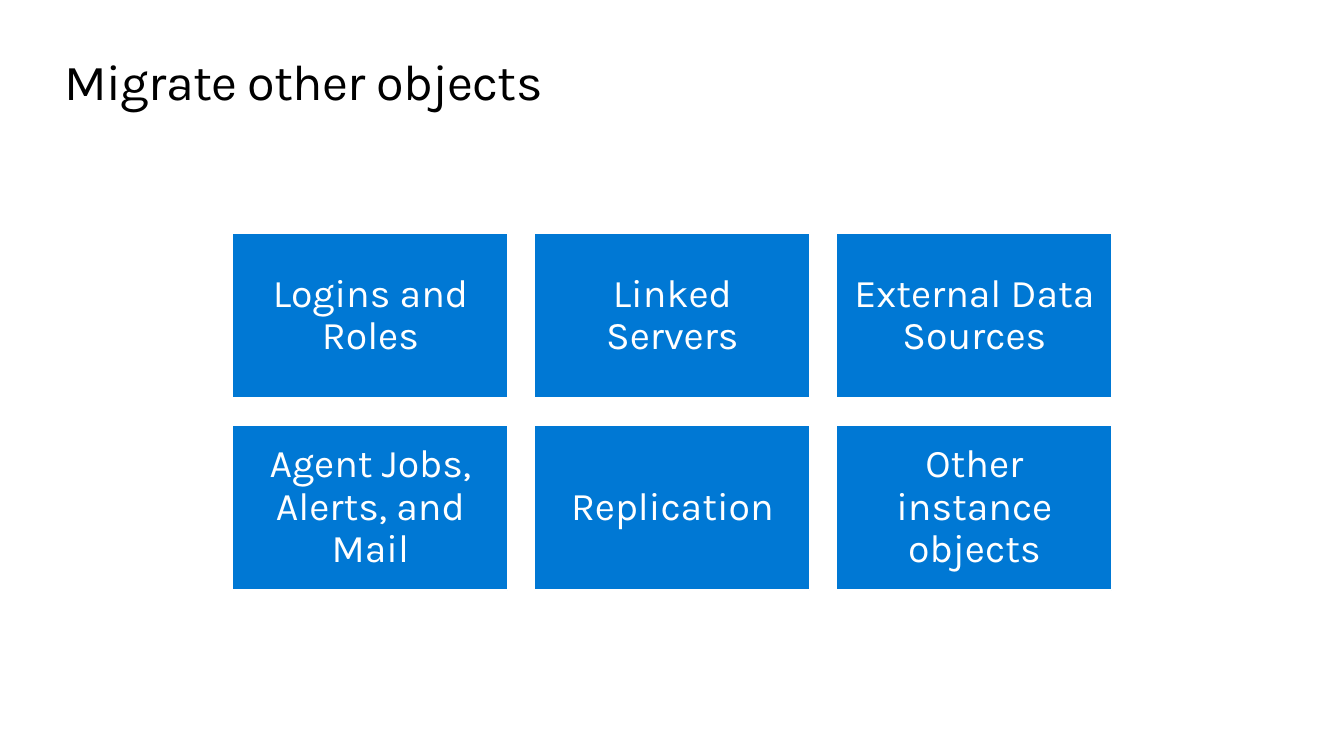
from pptx import Presentation
from pptx.dml.color import RGBColor
from pptx.enum import shapes, text
from pptx.util import Cm, Pt

BLUE = RGBColor(0x00, 0x78, 0xD4)
WHITE = RGBColor(0xFF, 0xFF, 0xFF)
BLACK = RGBColor(0x00, 0x00, 0x00)
FONT = "Karla"

TILES = [
    ["Logins and Roles", "Linked Servers", "External Data Sources"],
    ["Agent Jobs, Alerts, and Mail", "Replication", "Other instance objects"],
]
LEFT, TOP = 5.87, 5.87
WIDTH, HEIGHT, GAP = 6.93, 4.16, 0.68


def write(box, words, size, color, inset):
    frame = box.text_frame
    frame.text = words
    frame.word_wrap = True
    frame.margin_left = frame.margin_right = Cm(inset)
    frame.margin_top = frame.margin_bottom = Cm(inset)
    span = frame.paragraphs[0].runs[0]
    span.font.name = FONT
    span.font.size = Pt(size)
    span.font.color.rgb = color
    return frame.paragraphs[0]


deck = Presentation()
deck.slide_width, deck.slide_height = Cm(33.87), Cm(19.05)
page = deck.slides.add_slide(deck.slide_layouts[6])

title = page.shapes.add_textbox(Cm(1.63), Cm(1.27), Cm(30.6), Cm(1.55))
heading = write(title, "Migrate other objects", 36, BLACK, 0)
heading.runs[0].font._element.set("spc", "-50")

for row, labels in enumerate(TILES):
    for column, label in enumerate(labels):
        tile = page.shapes.add_shape(
            shapes.MSO_SHAPE.RECTANGLE,
            Cm(LEFT + column * (WIDTH + GAP)),
            Cm(TOP + row * (HEIGHT + GAP)),
            Cm(WIDTH),
            Cm(HEIGHT),
        )
        tile.shadow.inherit = False
        tile.fill.solid()
        tile.fill.fore_color.rgb = BLUE
        tile.line.color.rgb = WHITE
        tile.line.width = Pt(0.85)
        para = write(tile, label, 28, WHITE, 0.3)
        para.alignment = text.PP_ALIGN.CENTER
        para.line_spacing = 0.9
        tile.text_frame.vertical_anchor = text.MSO_ANCHOR.MIDDLE

deck.save("out.pptx")
